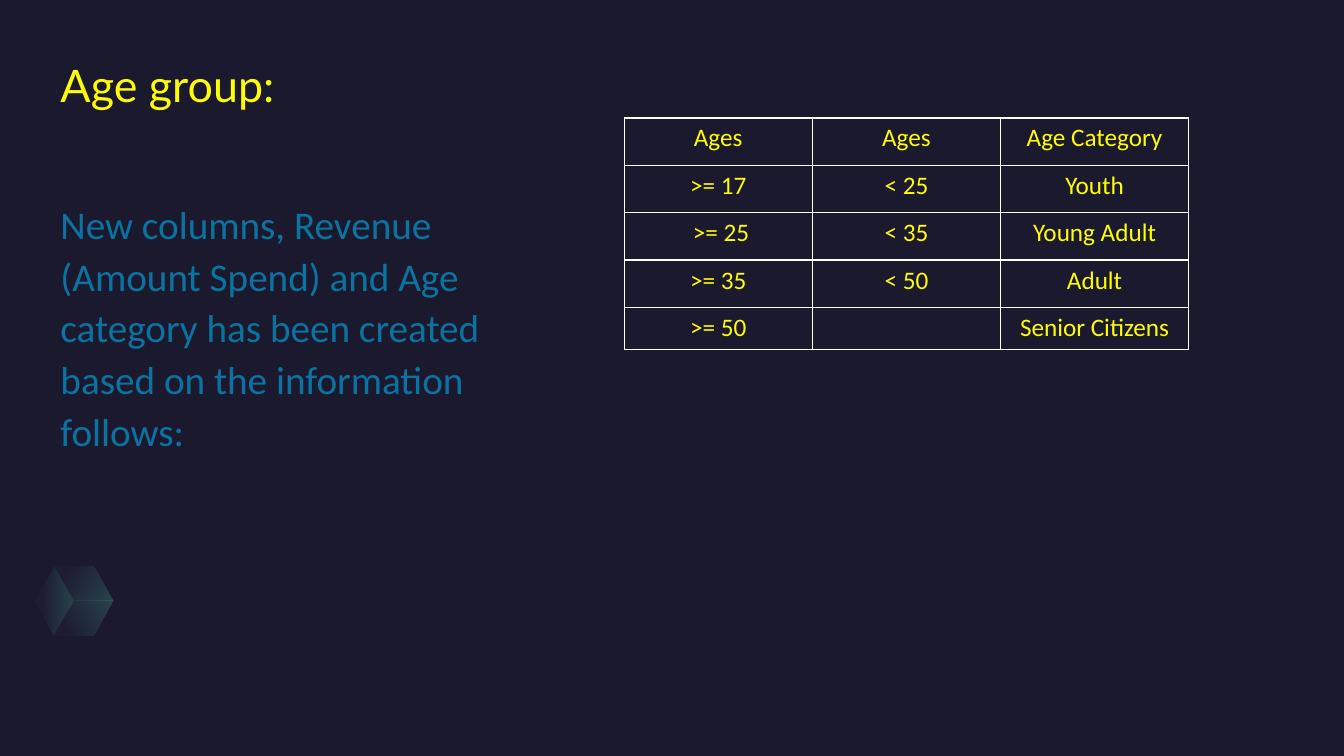
from lxml.etree import SubElement
from pptx import Presentation
from pptx.dml.color import RGBColor
from pptx.enum.text import PP_ALIGN
from pptx.oxml.ns import qn
from pptx.util import Inches, Pt


def rgb(value):
    return RGBColor.from_string(value)


def set_alpha(parent, percent):
    for clr in parent.iter(qn("a:srgbClr")):
        SubElement(clr, qn("a:alpha"), val=str(percent * 1000))


prs = Presentation()
prs.slide_width, prs.slide_height = Inches(13.33), Inches(7.5)
s = prs.slides.add_slide(prs.slide_layouts[6])
s.background.fill.solid()
s.background.fill.fore_color.rgb = rgb("1B192E")

# Cube: three faces sharing one centre, with counter-clockwise gradient angles
center = (0.73, 5.96)
upper_left, upper_right, right = (0.54, 5.62), (0.93, 5.62), (1.12, 5.96)
lower_right, lower_left, left = (0.93, 6.3), (0.53, 6.3), (0.34, 5.96)
faces = [
    ([upper_right, upper_left, center, right], 330),
    ([lower_left, left, upper_left, center], 0),
    ([right, lower_right, lower_left, center], 30),
]
for corners, angle in faces:
    points = [(Inches(x), Inches(y)) for x, y in corners]
    builder = s.shapes.build_freeform(*points[0])
    builder.add_line_segments(points[1:], close=True)
    face = builder.convert_to_shape()
    face.shadow.inherit = False
    face.line.fill.background()
    face.fill.gradient()
    face.fill.gradient_angle = angle
    for stop, position, color in zip(face.fill.gradient_stops, (0.2, 1), ("2C284A", "5BEFC1")):
        stop.position = position
        stop.color.rgb = rgb(color)
    set_alpha(face._element.spPr.find(qn("a:gradFill")), 20)

# Title and body text
texts = [
    ("Age group:", 0.63, 1.08, "FFFF00", 100,
     {"name": "Lato", "size": Pt(32)}, {"line_spacing": 0.9}),
    ("New columns, Revenue (Amount Spend) and Age category has been created "
     "based on the information follows:", 1.94, 4.96, "00B0F0", 60,
     {"name": "Calibri", "size": Pt(28)},
     {"line_spacing": 1.1, "space_before": Pt(10), "space_after": Pt(8)}),
]
for text, top, height, color, alpha, font, spacing in texts:
    tf = s.shapes.add_textbox(Inches(0.6), Inches(top), Inches(4.92), Inches(height)).text_frame
    tf.word_wrap = True
    tf.margin_left = tf.margin_top = tf.margin_right = tf.margin_bottom = 0
    p = tf.paragraphs[0]
    for key, value in spacing.items():
        setattr(p, key, value)
    r = p.add_run()
    r.text = text
    for key, value in font.items():
        setattr(r.font, key, value)
    r.font.color.rgb = rgb(color)
    if alpha < 100:
        set_alpha(r._r, alpha)

# Age category table
rows = [
    ("Ages", "Ages", "Age Category"),
    (">= 17", "< 25", "Youth"),
    (" >= 25", "< 35", "Young Adult"),
    (">= 35", "< 50", "Adult"),
    (">= 50", "", "Senior Citizens"),
]
table = s.shapes.add_table(len(rows), 3, Inches(6.19), Inches(1.17), Inches(5.6), Inches(2.3)).table
table.first_row = table.horz_banding = False
for i, row in enumerate(rows):
    table.rows[i].height = Inches(0.42 if i == len(rows) - 1 else 0.47)
    for j, text in enumerate(row):
        cell = table.cell(i, j)
        tcPr = cell._tc.get_or_add_tcPr()
        for side in ("lnL", "lnR", "lnT", "lnB"):
            ln = SubElement(tcPr, qn("a:" + side), w=str(Pt(1)))
            SubElement(SubElement(ln, qn("a:solidFill")), qn("a:srgbClr"), val="FFFFFF")
        cell.fill.background()
        p = cell.text_frame.paragraphs[0]
        p.alignment = PP_ALIGN.CENTER
        if text:
            r = p.add_run()
            r.text = text
            r.font.name, r.font.size = "Calibri", Pt(18)
            r.font.color.rgb = rgb("FFFF00")

prs.save("out.pptx")
